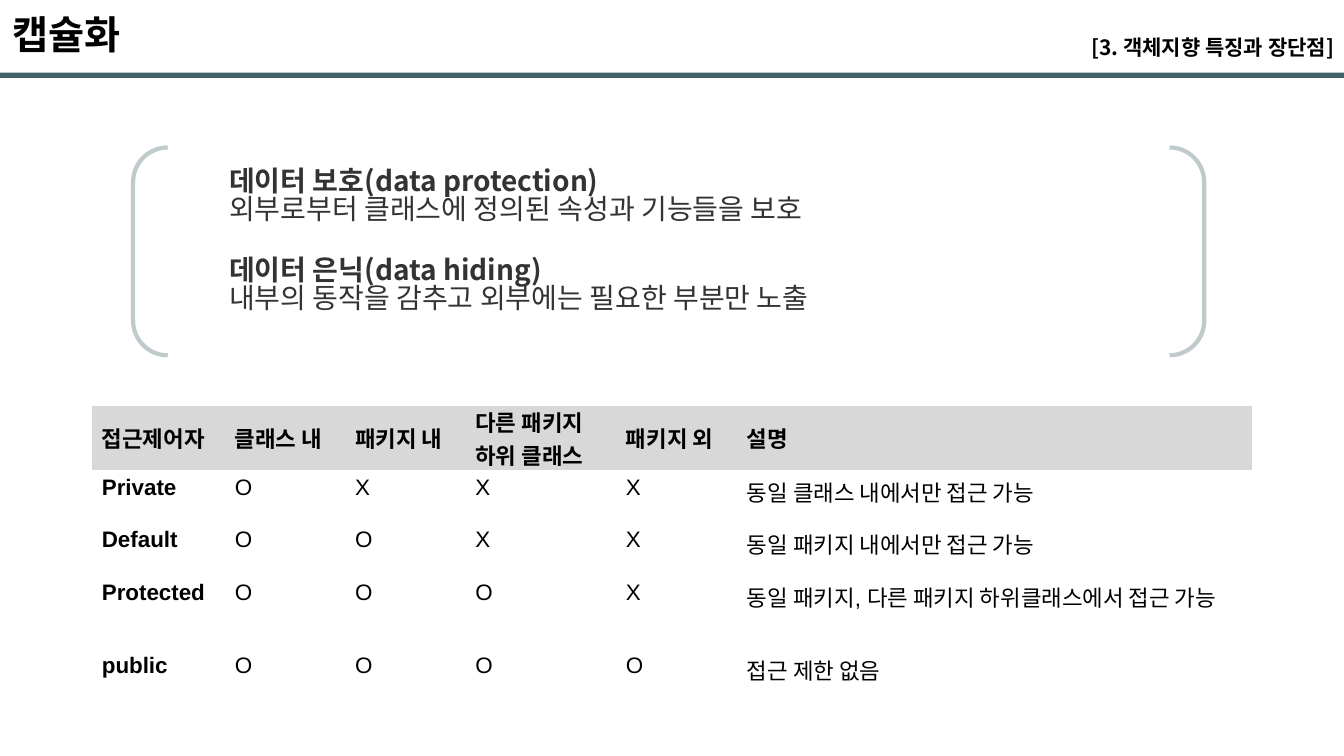
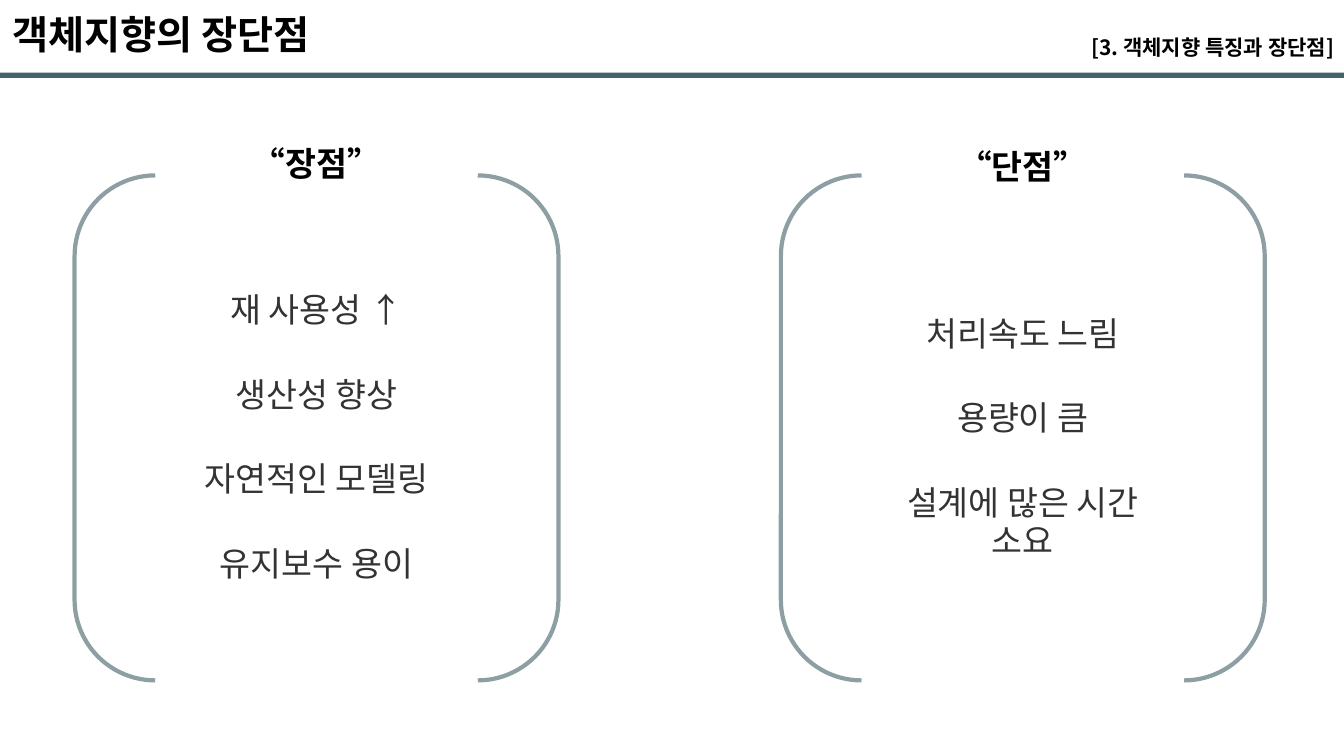
from lxml import etree
from pptx import Presentation
from pptx.dml.color import RGBColor
from pptx.enum.shapes import MSO_SHAPE as SHAPE
from pptx.enum.text import MSO_ANCHOR as ANCHOR, PP_ALIGN as ALIGN
from pptx.oxml.ns import qn
from pptx.util import Inches, Pt

BLACK = RGBColor(0x00, 0x00, 0x00)
GRAY = RGBColor(0x33, 0x33, 0x33)
TEAL = RGBColor(0x1C, 0x41, 0x48)
HEADER_FILL = RGBColor(0xD8, 0xD8, 0xD8)
HANGUL, LATIN = "Noto Sans CJK KR", "Arial"
NO_STYLE = "{2D5ABB26-0587-4C30-8999-92F81FD0307C}"

TITLE = dict(size=Pt(28), name=HANGUL, bold=True, color=BLACK)
LABEL = {**TITLE, "size": Pt(15)}
HEADING = {**TITLE, "size": Pt(24)}
BODY = dict(size=Pt(20), name=HANGUL, bold=False, color=GRAY)
TERM = {**BODY, "bold": True}
POINT = dict(size=Pt(24), name=LATIN, bold=False, color=GRAY)
CELL = dict(size=Pt(16), name=LATIN, bold=False, color=BLACK)
CELL_BOLD = {**CELL, "bold": True}

prs = Presentation()
prs.slide_width, prs.slide_height = Inches(13.33), Inches(7.5)


def place(x, y, w, h):
    """Turn percentages of the slide's width and height into lengths."""
    pw, ph = prs.slide_width / 100, prs.slide_height / 100
    return int(x * pw), int(y * ph), int(w * pw), int(h * ph)


def write(tf, lines, align=ALIGN.LEFT, spacing=None, gap=0):
    """Fill a text frame with (text, format, starts a group) lines."""
    tf.word_wrap = True
    for i, (text, fmt, starts_group) in enumerate(lines):
        p = tf.add_paragraph() if i else tf.paragraphs[0]
        p.alignment = align
        if spacing:
            p.line_spacing = spacing
        if i and starts_group:
            p.space_before = Pt(gap)
        r = p.add_run()
        r.text = text
        for key, value in fmt.items():
            if key == "color":
                r.font.color.rgb = value
            else:
                setattr(r.font, key, value)
        ea = etree.SubElement(r.font._element, qn("a:ea"))
        ea.set("typeface", HANGUL)


slides = []
BRACKET_TOP, BRACKET_W, BRACKET_H = 23.2, 36, 66.8
ADVANTAGE_X, DRAWBACK_X = 5.55, 58.1
pages = [
    ("캡슐화", 27, [(9.9, 19.5, 79.7, 27.5)]),
    ("객체지향의 장단점", 49,
     [(x, BRACKET_TOP, BRACKET_W, BRACKET_H) for x in (DRAWBACK_X, ADVANTAGE_X)]),
]

# Header and brackets
for title, opacity, brackets in pages:
    s = prs.slides.add_slide(prs.slide_layouts[6])
    slides.append(s)
    rule = s.shapes.add_shape(SHAPE.RECTANGLE, *place(0, 9.6, 100, 0.7))
    rule.shadow.inherit = False
    rule.fill.solid()
    rule.fill.fore_color.rgb = TEAL
    rule.line.fill.background()
    tinted = [(rule, 82)]
    for area in brackets:
        sp = s.shapes.add_shape(SHAPE.DOUBLE_BRACKET, *place(*area))
        sp.shadow.inherit = False
        sp.fill.background()
        sp.line.color.rgb = TEAL
        sp.line.width = Pt(3)
        tinted.append((sp, opacity))
    for sp, percent in tinted:
        color = next(sp._element.spPr.iter(qn("a:srgbClr")))
        etree.SubElement(color, qn("a:alpha")).set("val", str(percent * 1000))

    tb = s.shapes.add_textbox(*place(0.2, 1.7, 47.9, 7.6))
    write(tb.text_frame, [(title, TITLE, False)], spacing=0.83)
    tb = s.shapes.add_textbox(*place(78.8, 4.5, 21.2, 4.7))
    write(tb.text_frame, [("[3. 객체지향 특징과 장단점]", LABEL, False)],
          ALIGN.RIGHT, 0.83)

encapsulation, pros_cons = slides

# Encapsulation: two goals and the access modifiers
tb = encapsulation.shapes.add_textbox(*place(16.3, 21.7, 66.9, 23.7))
write(tb.text_frame, [
    ("데이터 보호(data protection)", TERM, True),
    ("외부로부터 클래스에 정의된 속성과 기능들을 보호", BODY, False),
    ("데이터 은닉(data hiding)", TERM, True),
    ("내부의 동작을 감추고 외부에는 필요한 부분만 노출", BODY, False),
], spacing=0.83, gap=24)

rows = [
    ("접근제어자", "클래스 내", "패키지 내", "다른 패키지 하위 클래스", "패키지 외", "설명"),
    ("Private", *"OXXX", "동일 클래스 내에서만 접근 가능"),
    ("Default", *"OOXX", "동일 패키지 내에서만 접근 가능"),
    ("Protected", *"OOOX", "동일 패키지, 다른 패키지 하위클래스에서 접근 가능"),
    ("public", *"OOOO", "접근 제한 없음"),
]
col_shares = [9.9, 8.95, 8.95, 11.2, 9, 38.3]
row_shares = [8.5, 6.95, 6.95, 9.65, 6.95]
area = place(6.83, 53.7, sum(col_shares), sum(row_shares))
table = encapsulation.shapes.add_table(len(rows), len(col_shares), *area).table
table.first_row = table.horz_banding = False
table._tbl.tblPr.find(qn("a:tableStyleId")).text = NO_STYLE
for col, share in zip(table.columns, col_shares):
    col.width = int(prs.slide_width * share / 100)
for row, share in zip(table.rows, row_shares):
    row.height = int(prs.slide_height * share / 100)
for i, texts in enumerate(rows):
    for j, text in enumerate(texts):
        cell = table.cell(i, j)
        if i == 0:
            cell.fill.solid()
            cell.fill.fore_color.rgb = HEADER_FILL
            cell.vertical_anchor = ANCHOR.MIDDLE
            cell.margin_top = cell.margin_bottom = 0
        else:
            cell.fill.background()
        fmt = CELL_BOLD if i == 0 or j == 0 else CELL
        write(cell.text_frame, [(text, fmt, False)])

# Advantages and drawbacks
sides = [
    (DRAWBACK_X, "“단점”", 19.5, 41.1,
     ["처리속도 느림", "용량이 큼", "설계에 많은 시간 소요"]),
    (ADVANTAGE_X, "“장점”", 19.1, 38,
     ["재 사용성 ↑", "생산성 향상", "자연적인 모델링", "유지보수 용이"]),
]
LIST_W = 20.2
for x, heading, heading_y, list_y, points in sides:
    tb = pros_cons.shapes.add_textbox(*place(x, heading_y, BRACKET_W, 6.7))
    write(tb.text_frame, [(heading, HEADING, False)], ALIGN.CENTER, 0.83)
    list_x = x + (BRACKET_W - LIST_W) / 2
    tb = pros_cons.shapes.add_textbox(*place(list_x, list_y, LIST_W, 44))
    write(tb.text_frame, [(point, POINT, True) for point in points],
          ALIGN.CENTER, 0.95, 33)

prs.save("out.pptx")
